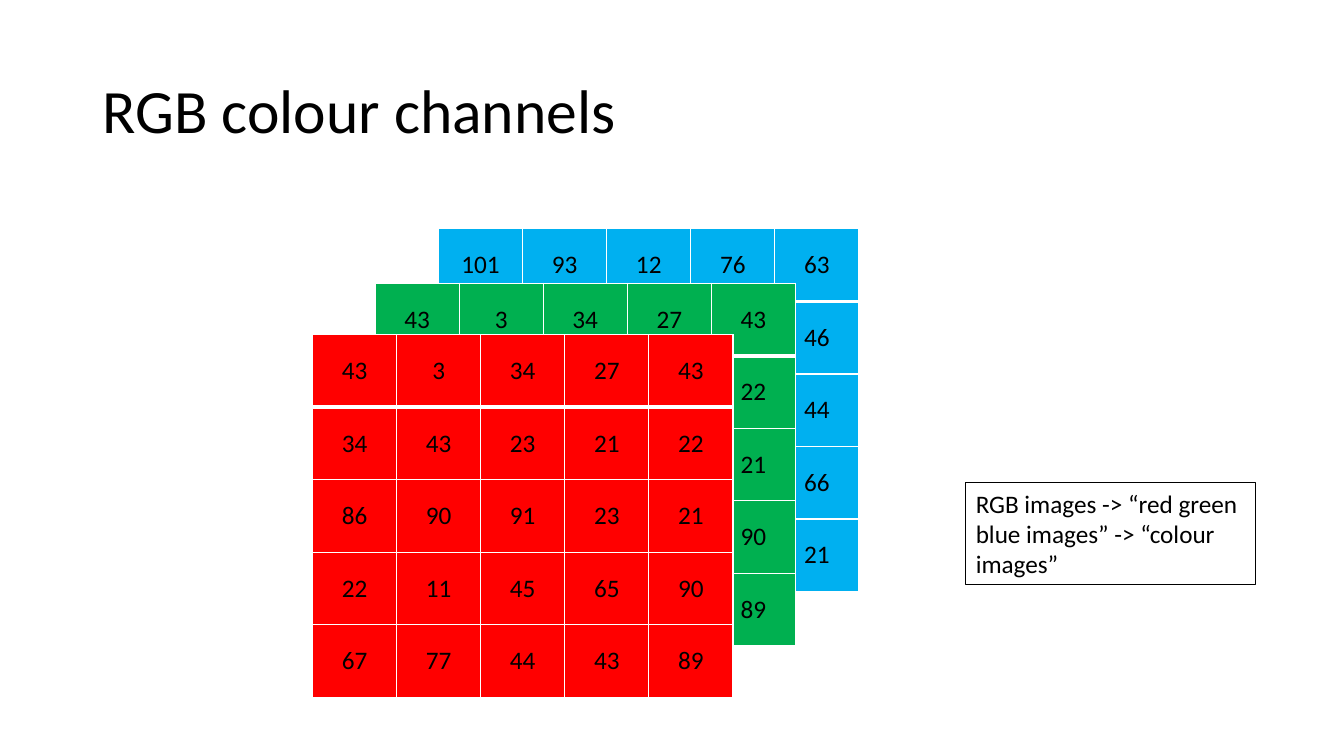
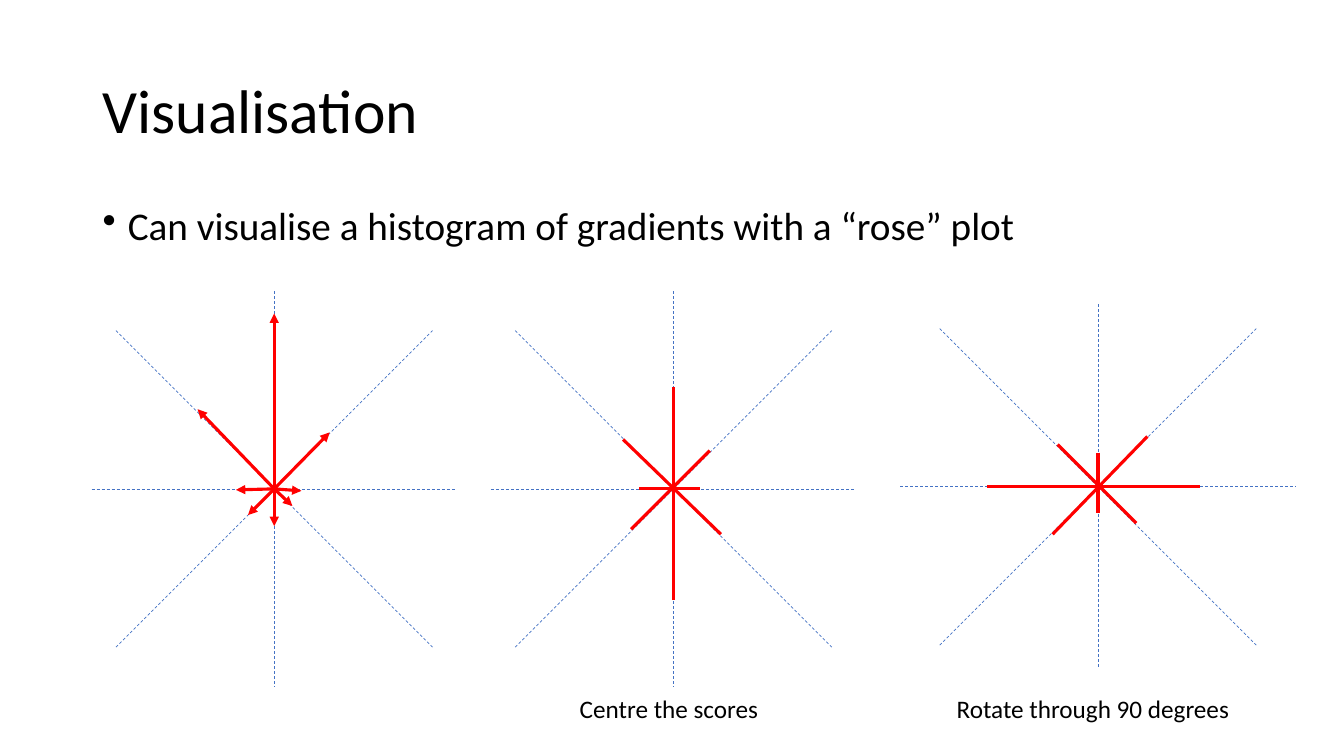
import dataclasses

import pptx
import pptx.dml.color
import pptx.enum.dml
import pptx.enum.shapes
import pptx.enum.text
import pptx.oxml
import pptx.oxml.ns
import pptx.util

Inches = pptx.util.Inches
Pt = pptx.util.Pt
Align = pptx.enum.text.PP_ALIGN
Anchor = pptx.enum.text.MSO_ANCHOR


@dataclasses.dataclass(frozen=True)
class Theme:
    font: str = "Calibri"
    ink: str = "000000"
    grid: str = "FFFFFF"
    red: str = "FF0000"
    green: str = "00B050"
    blue: str = "00B0F0"
    axis: str = "4472C4"
    title_size: float = 44
    body_size: float = 28
    label_size: float = 18
    grid_width: float = 1
    header_width: float = 3
    axis_width: float = 0.5
    score_width: float = 2.25
    frame_width: float = 0.75


THEME = Theme()
TITLE_BOX = (0.92, 0.4, 11.5, 1.45)

SHARED_ROWS = [
    [43, 3, 34, 27, 43],
    [34, 43, 23, 21, 22],
    [86, 90, 91, 23, 21],
    [22, 11, 45, 65, 90],
    [67, 77, 44, 43, 89],
]
BLUE_ROWS = [[101, 93, 12, 76, 63]] + [
    row[:-1] + [last] for row, last in zip(SHARED_ROWS[1:], [46, 44, 66, 21])
]
CHANNELS = [
    ((4.35, 2.27, 4.17, 3.6), THEME.blue, BLUE_ROWS),
    ((3.72, 2.81, 4.17, 3.6), THEME.green, SHARED_ROWS),
    ((3.1, 3.32, 4.17, 3.6), THEME.red, SHARED_ROWS),
]

GRADIENT_TIPS = [
    (0, -1.74), (-0.76, -0.79), (0.55, -0.56), (-0.38, 0.01),
    (0.27, 0.02), (0.18, 0.17), (0, 0.37), (-0.26, 0.26),
]
GRADIENTS = [((0, 0), tip) for tip in GRADIENT_TIPS]
CENTRED = [
    ((-0.34, 0), (0.26, 0)),
    ((0.47, 0.45), (-0.5, -0.49)),
    ((0, 1.1), (0, -1.01)),
    ((-0.42, 0.4), (0.36, -0.38)),
]
ROTATED = [tuple((-y, x) for x, y in score) for score in CENTRED]


def rgb(value):
    return pptx.dml.color.RGBColor.from_string(value)


def inches(box):
    return [Inches(length) for length in box]


def write(frame, text, size=THEME.label_size, color=THEME.ink, align=Align.LEFT,
          anchor=Anchor.TOP, spacing=1.0, bullet=False):
    frame.word_wrap = True
    frame.vertical_anchor = anchor
    paragraph = frame.paragraphs[0]
    paragraph.text = text
    paragraph.alignment = align
    paragraph.line_spacing = spacing
    if bullet:
        properties = paragraph._p.get_or_add_pPr()
        properties.set("marL", str(Inches(0.25)))
        properties.set("indent", str(-Inches(0.25)))
        mark = pptx.oxml.parse_xml(
            f'<a:buChar {pptx.oxml.ns.nsdecls("a")} char="•"/>')
        properties.append(mark)
    font = paragraph.runs[0].font
    font.name = THEME.font
    font.size = Pt(size)
    font.bold = False
    font.color.rgb = rgb(color)


def add_text(slide, box, text, **style):
    write(slide.shapes.add_textbox(*inches(box)).text_frame, text, **style)


def add_titled_slide(deck, title):
    slide = deck.slides.add_slide(deck.slide_layouts[6])
    add_text(slide, TITLE_BOX, title, size=THEME.title_size,
             anchor=Anchor.MIDDLE, spacing=0.9)
    return slide


def add_border(cell, side, width):
    cell._tc.get_or_add_tcPr().append(pptx.oxml.parse_xml(
        f'<a:ln{side} {pptx.oxml.ns.nsdecls("a")} w="{Pt(width)}">'
        f'<a:solidFill><a:srgbClr val="{THEME.grid}"/></a:solidFill>'
        f'</a:ln{side}>'))


def add_channel(slide, box, color, rows):
    left, top, width, height = inches(box)
    channel = slide.shapes.add_table(
        len(rows), len(rows[0]), left, top, width, height).table
    channel.first_row = False
    channel.horz_banding = False
    for r, row in enumerate(rows):
        channel.rows[r].height = height // len(rows)
        for c, value in enumerate(row):
            pixel = channel.cell(r, c)
            write(pixel.text_frame, str(value), align=Align.CENTER)
            pixel.vertical_anchor = Anchor.MIDDLE
            for side in "LRTB":
                under_header = (r, side) in ((0, "B"), (1, "T"))
                add_border(pixel, side,
                           THEME.header_width if under_header else THEME.grid_width)
            pixel.fill.solid()
            pixel.fill.fore_color.rgb = rgb(color)


def add_note(slide, box, text):
    note = slide.shapes.add_shape(
        pptx.enum.shapes.MSO_SHAPE.RECTANGLE, *inches(box))
    note.shadow.inherit = False
    note.fill.background()
    note.line.color.rgb = rgb(THEME.ink)
    note.line.width = Pt(THEME.frame_width)
    write(note.text_frame, text)


def add_line(slide, start, end, color, width, dashed=False, arrow=False):
    line = slide.shapes.add_connector(
        pptx.enum.shapes.MSO_CONNECTOR.STRAIGHT, *inches(start + end))
    line.line.color.rgb = rgb(color)
    line.line.width = Pt(width)
    if dashed:
        line.line.dash_style = pptx.enum.dml.MSO_LINE.DASH
    namespace = pptx.oxml.ns.nsdecls("a")
    if arrow:
        line.line._get_or_add_ln().append(
            pptx.oxml.parse_xml(f'<a:tailEnd {namespace} type="triangle"/>'))
    line._element.spPr.append(pptx.oxml.parse_xml(f"<a:effectLst {namespace}/>"))


def add_rose(slide, box, scores, arrows=False):
    left, top, width, height = box
    centre_x, centre_y = left + width / 2, top + height / 2
    diagonal = 1.57

    def place(point):
        return centre_x + point[0], centre_y + point[1]

    for x, y in [(width / 2, 0), (0, height / 2),
                 (diagonal, diagonal), (diagonal, -diagonal)]:
        add_line(slide, place((-x, -y)), place((x, y)),
                 THEME.axis, THEME.axis_width, dashed=True)
    for start, end in scores:
        add_line(slide, place(start), place(end),
                 THEME.red, THEME.score_width, arrow=arrows)


def build_channels_slide(deck):
    slide = add_titled_slide(deck, "RGB colour channels")
    for box, color, rows in CHANNELS:
        add_channel(slide, box, color, rows)
    add_note(slide, (9.58, 4.79, 2.87, 1.01),
             "RGB images -> “red green blue images” -> “colour images”")


def build_rose_slide(deck):
    slide = add_titled_slide(deck, "Visualisation")
    add_text(slide, (0.92, 2, 11.5, 0.6),
             "Can visualise a histogram of gradients with a “rose” plot",
             size=THEME.body_size, spacing=0.9, bullet=True)
    add_rose(slide, (0.91, 2.89, 3.62, 3.92), GRADIENTS, arrows=True)
    add_rose(slide, (4.87, 2.89, 3.62, 3.92), CENTRED)
    add_rose(slide, (8.93, 3.02, 3.92, 3.62), ROTATED)
    for box, caption in [((5.62, 6.83, 2.03, 0.4), "Centre the scores"),
                         ((9.27, 6.83, 3.14, 0.4), "Rotate through 90 degrees")]:
        add_text(slide, box, caption, align=Align.CENTER)


def main():
    deck = pptx.Presentation()
    deck.slide_width = Inches(13.33)
    deck.slide_height = Inches(7.5)
    build_channels_slide(deck)
    build_rose_slide(deck)
    deck.save("out.pptx")


if __name__ == "__main__":
    main()
